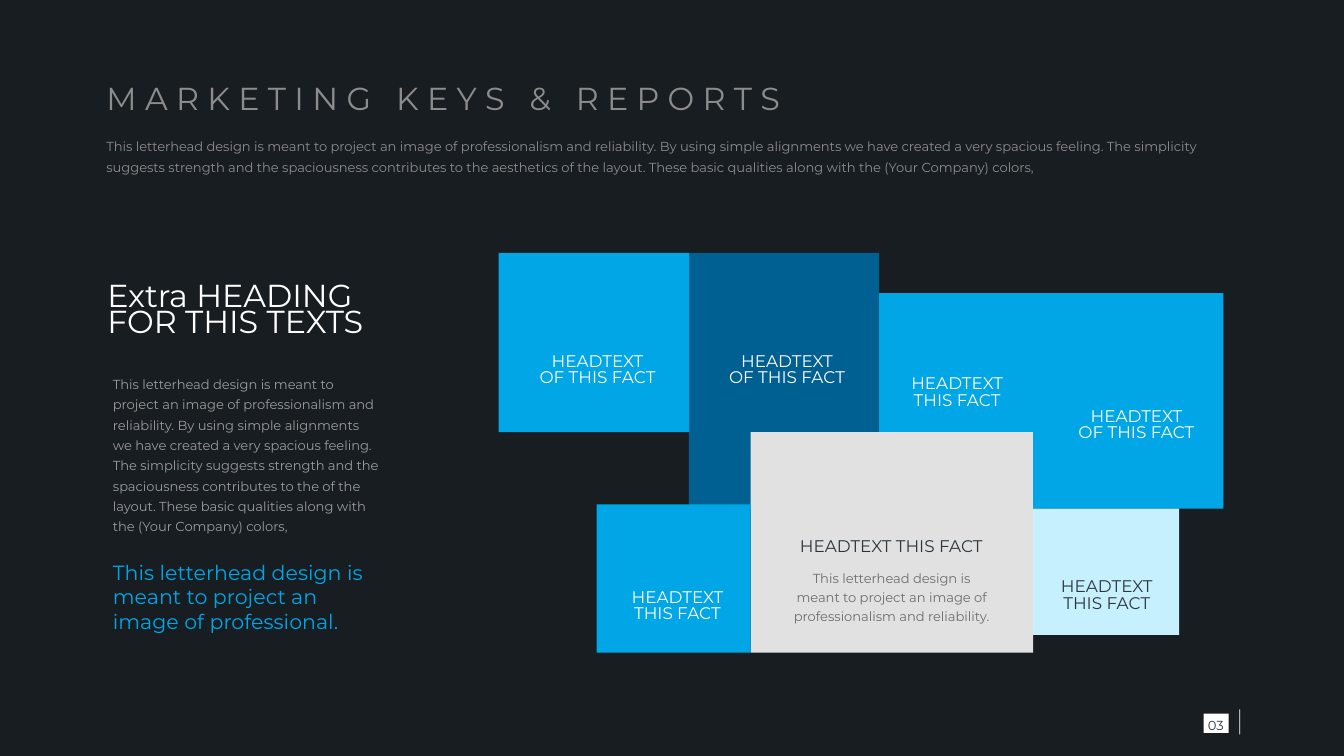
from pptx import Presentation
from pptx.dml.color import RGBColor
from pptx.enum.shapes import MSO_SHAPE
from pptx.enum.text import MSO_ANCHOR, MSO_AUTO_SIZE, PP_ALIGN
from pptx.util import Pt

RECTANGLE = MSO_SHAPE.RECTANGLE
MIDDLE = MSO_ANCHOR.MIDDLE
NO_AUTOFIT = MSO_AUTO_SIZE.NONE
LEFT, CENTER = PP_ALIGN.LEFT, PP_ALIGN.CENTER

FONT = "Montserrat"
NIGHT = RGBColor(0x18, 0x1D, 0x22)
INK = RGBColor(0x2B, 0x35, 0x3F)
WHITE = RGBColor(0xFF, 0xFF, 0xFF)
GRAY = RGBColor(0x8C, 0x8C, 0x8C)
LIGHT_GRAY = RGBColor(0x9B, 0x9B, 0x9B)
DARK_GRAY = RGBColor(0x6E, 0x6E, 0x6E)
SILVER = RGBColor(0xE1, 0xE1, 0xE1)
BLUE = RGBColor(0x00, 0xA6, 0xE5)
NAVY = RGBColor(0x00, 0x60, 0x92)
ICE = RGBColor(0xC7, 0xF0, 0xFF)

deck = Presentation()
deck.slide_width, deck.slide_height = Pt(720), Pt(405)
page = deck.slides.add_slide(deck.slide_layouts[5])
page.background.fill.solid()
page.background.fill.fore_color.rgb = NIGHT


def write(bounds, text, size, color, spacing, align=LEFT, box=None):
    if box is None:
        box = page.shapes.add_textbox(0, 0, 0, 0)
    box.left, box.top, box.width, box.height = [Pt(length) for length in bounds]
    frame = box.text_frame
    frame.margin_left = frame.margin_top = frame.margin_right = frame.margin_bottom = 0
    frame.word_wrap = True
    frame.auto_size = NO_AUTOFIT
    frame.vertical_anchor = MIDDLE
    frame.text = text
    for para in frame.paragraphs:
        para.alignment = align
        para.line_spacing = spacing
        for span in para.runs:
            span.font.name = FONT
            span.font.size = Pt(size)
            span.font.color.rgb = color


def add_block(bounds, color):
    block = page.shapes.add_shape(RECTANGLE, *[Pt(length) for length in bounds])
    block.shadow.inherit = False
    block.fill.solid()
    block.fill.fore_color.rgb = color
    block.line.fill.background()


write((57, 43.2, 371, 23.8), "M A R K E T I N G   K E Y S   &   R E P O R T S",
      17, GRAY, 0.7, box=page.shapes.title)
write((57, 71.5, 598.5, 22.3),
      "This letterhead design is meant to project an image of professionalism and reliability. "
      "By using simple alignments we have created a very spacious feeling. The simplicity suggests "
      "strength and the spaciousness contributes to the aesthetics of the layout. These basic "
      "qualities along with the (Your Company) colors,", 7, GRAY, 1.3)

write((57.5, 148.3, 142.5, 38.2), "Extra HEADING FOR THIS TEXTS", 17, WHITE, 0.7)
write((60.5, 199.5, 142.5, 86.4),
      "This letterhead design is meant to project an image of professionalism and reliability. "
      "By using simple alignments we have created a very spacious feeling. The simplicity suggests "
      "strength and the spaciousness contributes to the of the layout. These basic qualities along "
      "with the (Your Company) colors,", 7, LIGHT_GRAY, 1.3)
write((60.5, 297.4, 142.5, 44.6),
      "This letterhead design is meant to project an image of professional.", 11, BLUE, 1.0)

LONG_LABEL = "HEADTEXT\nOF THIS FACT"
SHORT_LABEL = "HEADTEXT\nTHIS FACT"
tiles = [
    ((369, 135.5, 102, 136.8), NAVY, (382.3, 182.9, 78.5, 31.7), LONG_LABEL, WHITE),
    ((471, 157, 82.5, 74.5), BLUE, (481.7, 198, 62, 25.2), SHORT_LABEL, WHITE),
    ((402.2, 231.5, 151.3, 118.2), SILVER, (423.4, 282.2, 108, 22.3), "HEADTEXT THIS FACT", INK),
    ((553.5, 157, 102, 115.5), BLUE, (573.1, 212.4, 71.3, 31.7), LONG_LABEL, WHITE),
    ((319.7, 270.2, 82.5, 79.5), BLUE, (331.9, 312.5, 62, 25.2), SHORT_LABEL, WHITE),
    ((553.5, 272.5, 78.2, 67.7), ICE, (565.2, 305.3, 55.4, 28.1), SHORT_LABEL, INK),
    ((267.2, 135.5, 102, 96), BLUE, (280.8, 182.9, 78.5, 31.7), LONG_LABEL, WHITE),
]
for bounds, color, label_bounds, label, label_color in tiles:
    add_block(bounds, color)
for bounds, color, label_bounds, label, label_color in tiles:
    write(label_bounds, label, 9, label_color, 0.8, CENTER)

write((423.7, 303.5, 108, 31),
      "This letterhead design is meant to project an image of professionalism and reliability.",
      7, DARK_GRAY, 1.2, CENTER)

add_block((644.8, 382.3, 13.5, 10.3), WHITE)
write((643, 381.6, 16.6, 11.5), "03", 7, INK, 1.3, CENTER)
add_block((664, 380, 0.4, 13.5), WHITE)

deck.save("out.pptx")
